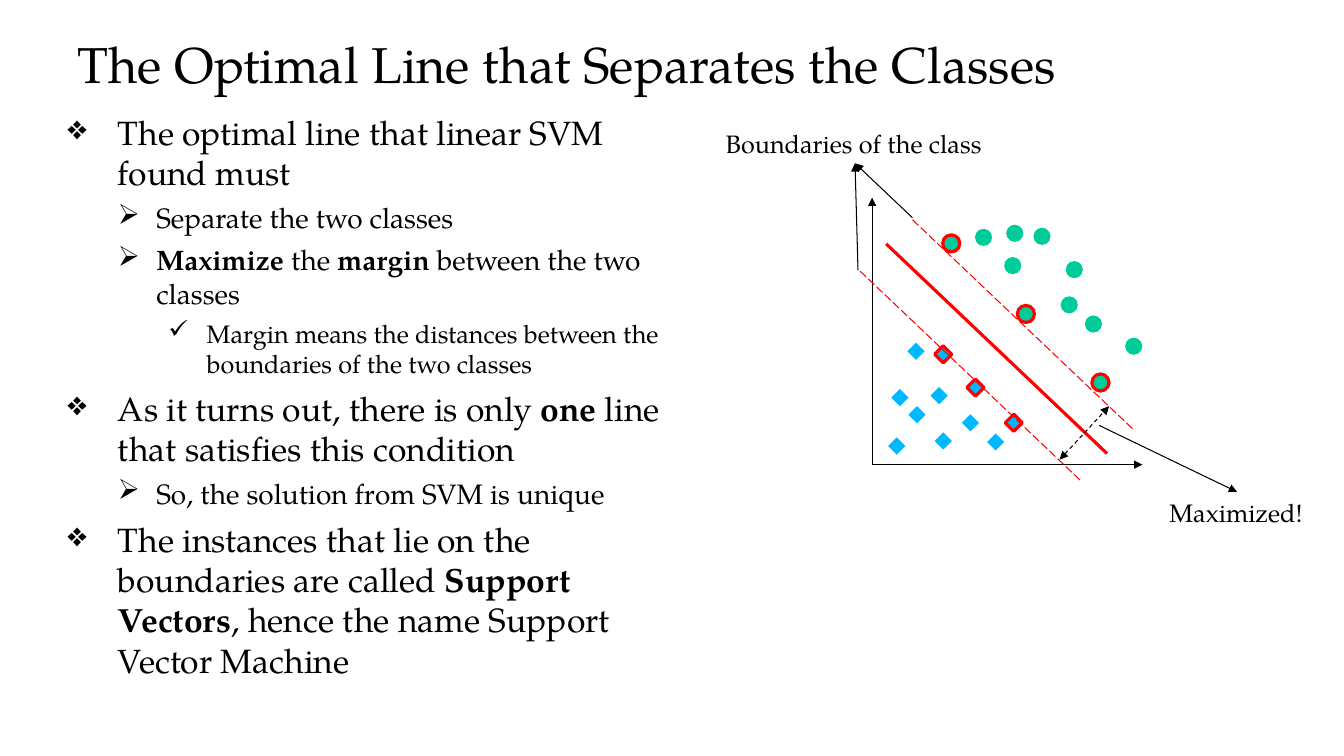
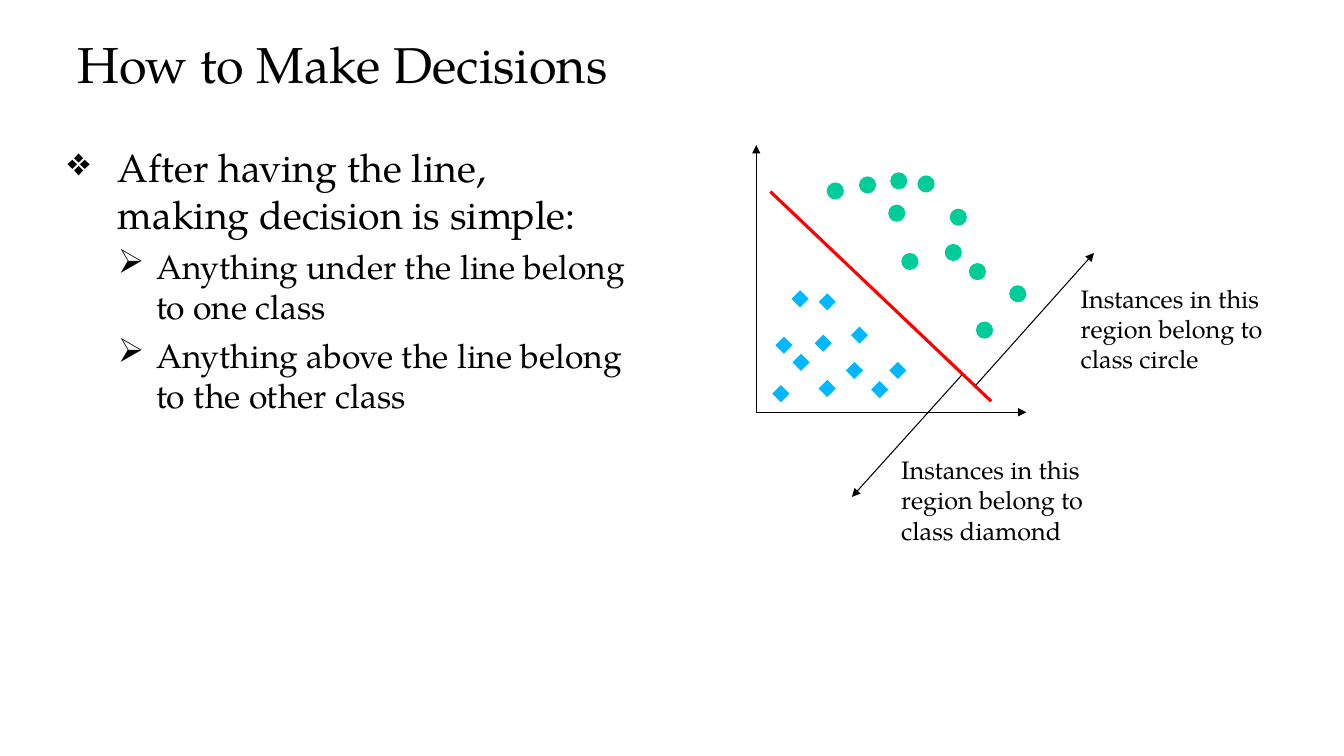
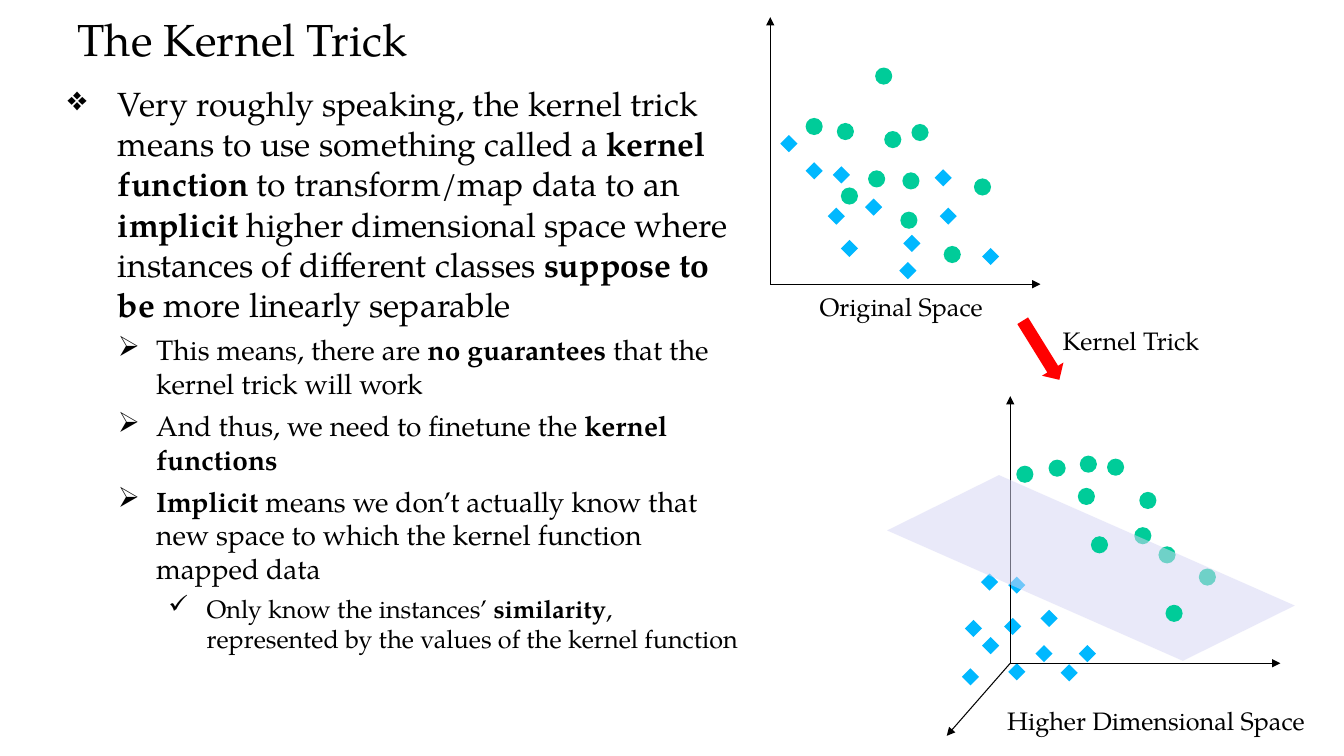
"""Build three slides on support vector machines and the kernel trick."""
from typing import NamedTuple, Optional, Sequence

from lxml.etree import SubElement
from pptx import Presentation
from pptx.dml.color import RGBColor
from pptx.enum.dml import MSO_LINE
from pptx.enum.shapes import MSO_CONNECTOR, MSO_SHAPE
from pptx.enum.text import MSO_ANCHOR
from pptx.oxml.ns import qn
from pptx.util import Inches, Pt

FONT = "TeX Gyre Pagella"
BLACK, RED, BLUE, GREEN, LILAC = "000000", "FF0000", "00B8FF", "00CC99", "D6D6F5"
DOT_SIZE = 0.17
AXIS_WIDTH, AXIS_HEIGHT = 2.68, 2.65


class Point(NamedTuple):
    x: float
    y: float

    def shift(self, x: float, y: float) -> "Point":
        return Point(self.x + x, self.y + y)


class Box(NamedTuple):
    left: float
    top: float
    width: float
    height: float

    def lengths(self) -> list:
        return [Inches(value) for value in self]


class Level(NamedTuple):
    bullet: str
    margin: float
    hanging: float


class Item(NamedTuple):
    level: int
    size: int
    text: str


class Cloud(NamedTuple):
    diamonds: Sequence[tuple]
    circles: Sequence[tuple]


LEVELS = (Level("❖", 0.5, 0.5), Level("➢", 0.88, 0.38), Level("✓", 1.38, 0.38))

SUPPORT_VECTORS = Cloud(
    [(0.94, -0.85), (1.32, -0.5), (0.62, -1.18)],
    [(1.44, -1.58), (2.18, -0.9), (0.7, -2.28)],
)
OTHER_INSTANCES = Cloud(
    [(0.19, -0.75), (0.36, -0.58), (0.58, -0.77), (0.89, -0.5), (0.35, -1.21),
     (0.16, -0.27), (0.62, -0.32), (1.14, -0.31)],
    [(1.02, -2.34), (1.31, -2.06), (1.87, -1.67), (1.92, -2.02), (1.33, -2.38),
     (2.51, -1.26), (1.6, -2.35), (2.11, -1.48)],
)
MIXED_INSTANCES = Cloud(
    [(0.1, -1.48), (2.1, -0.36), (0.57, -0.76), (0.7, -0.44), (0.94, -0.85), (0.35, -1.21),
     (1.68, -0.76), (1.63, -1.14), (1.32, -0.49), (0.62, -1.17), (1.28, -0.22)],
    [(0.66, -1.6), (0.7, -0.96), (0.97, -1.13), (1.31, -1.11), (1.13, -1.52), (1.04, -2.15),
     (1.29, -0.72), (0.35, -1.65), (1.72, -0.38), (1.4, -1.59), (2.02, -1.05)],
)

OPTIMAL_LINE = [
    Item(0, 24, "The optimal line that linear SVM found must"),
    Item(1, 20, "Separate the two classes"),
    Item(1, 20, "**Maximize** the **margin** between the two classes"),
    Item(2, 18, "Margin means the distances between the boundaries of the two classes"),
    Item(0, 24, "As it turns out, there is only **one **line that satisfies this condition"),
    Item(1, 20, "So, the solution from SVM is unique"),
    Item(0, 24, "The instances that lie on the boundaries are called **Support Vectors**, "
                "hence the name Support Vector Machine"),
]
DECISIONS = [
    Item(0, 28, "After having the line, making decision is simple:"),
    Item(1, 24, "Anything under the line belong to one class"),
    Item(1, 24, "Anything above the line belong to the other class"),
]
KERNEL_TRICK = [
    Item(0, 24, "Very roughly speaking, the kernel trick means to use something called a "
                "**kernel function** to transform/map data to an **implicit** higher dimensional "
                "space where instances of different classes **suppose to be **more linearly "
                "separable"),
    Item(1, 20, "This means, there are **no guarantees** that the kernel trick will work"),
    Item(1, 20, "And thus, we need to finetune the **kernel functions**"),
    Item(1, 20, "**Implicit** means we don’t actually know that new space to which the kernel "
                "function mapped data"),
    Item(2, 18, "Only know the instances’ **similarity**, represented by the values of the "
                "kernel function"),
]


def color(value: str) -> RGBColor:
    return RGBColor.from_string(value)


def style(para, size: int) -> None:
    para.font.name = FONT
    para.font.size = Pt(size)
    para.font.color.rgb = color(BLACK)


def add_frame(page, box: Box, insets: Sequence[float], wrap: bool = True):
    shape = page.shapes.add_textbox(*box.lengths())
    frame = shape.text_frame
    frame.word_wrap = wrap
    frame.vertical_anchor = MSO_ANCHOR.TOP
    (frame.margin_left, frame.margin_top,
     frame.margin_right, frame.margin_bottom) = [Inches(inset) for inset in insets]
    return shape


def add_label(page, box: Box, text: str, wrap: bool = False):
    shape = add_frame(page, box, (0.1, 0.05, 0.1, 0.05), wrap)
    para = shape.text_frame.paragraphs[0]
    para.text = text
    style(para, 18)
    return shape


def add_title(page, text: str, top: float = 0.22, size: int = 36) -> None:
    shape = add_frame(page, Box(0.67, top, 11.99, 1), (0.1, 0.1, 0.1, 0.05))
    para = shape.text_frame.paragraphs[0]
    para.text = text
    para.line_spacing = 1.02
    style(para, size)


def add_body(page, top: float, width: float, items: Sequence[Item]) -> None:
    frame = add_frame(page, Box(0.67, top, width, 4.94), (0, 0, 0, 0)).text_frame
    for index, item in enumerate(items):
        para = frame.add_paragraph() if index else frame.paragraphs[0]
        level = LEVELS[item.level]
        para.level = item.level
        para.space_before = Pt(6)
        properties = para._p.get_or_add_pPr()
        properties.set("marL", str(Inches(level.margin)))
        properties.set("indent", str(-Inches(level.hanging)))
        SubElement(properties, qn("a:buChar")).set("char", level.bullet)
        style(para, item.size)
        for position, text in enumerate(item.text.split("**")):
            if text:
                span = para.add_run()
                span.text = text
                span.font.bold = position % 2 == 1


def add_figure(shapes, kind: MSO_SHAPE, box: Box, fill: str, outline: Optional[str] = None):
    shape = shapes.add_shape(kind, *box.lengths())
    shape.shadow.inherit = False
    shape.fill.solid()
    shape.fill.fore_color.rgb = color(fill)
    if outline:
        shape.line.color.rgb = color(outline)
        shape.line.width = Pt(2.25)
    else:
        shape.line.fill.background()
    return shape


def add_cloud(shapes, origin: Point, cloud: Cloud, outline: Optional[str] = None) -> None:
    for kind, fill, dots in ((MSO_SHAPE.DIAMOND, BLUE, cloud.diamonds),
                             (MSO_SHAPE.OVAL, GREEN, cloud.circles)):
        for dot in dots:
            box = Box(*origin.shift(*dot), DOT_SIZE, DOT_SIZE)
            add_figure(shapes, kind, box, fill, outline)


def add_line(shapes, start: Point, end: Point, stroke: str = BLACK, width: float = 0.75,
             dash: Optional[MSO_LINE] = None, arrows: Sequence[str] = ()):
    line = shapes.add_connector(MSO_CONNECTOR.STRAIGHT, *[Inches(value) for value in start + end])
    line.line.color.rgb = color(stroke)
    line.line.width = Pt(width)
    if dash:
        line.line.dash_style = dash
    properties = line.element.spPr
    for arrow in arrows:
        SubElement(properties.find(qn("a:ln")), qn(f"a:{arrow}")).set("type", "triangle")
    SubElement(properties, qn("a:effectLst"))
    return line


def add_arrow(shapes, start: Point, end: Point):
    return add_line(shapes, start, end, arrows=["tailEnd"])


def add_axes(shapes, origin: Point) -> None:
    add_arrow(shapes, origin, origin.shift(AXIS_WIDTH, 0))
    add_arrow(shapes, origin, origin.shift(0, -AXIS_HEIGHT))


def add_separator(shapes, origin: Point, x: float = 0, y: float = 0, width: float = 2.25,
                  dash: Optional[MSO_LINE] = None) -> None:
    start = origin.shift(0.14 + x, -2.19 + y)
    add_line(shapes, start, start.shift(2.19, 2.08), RED, width, dash)


def build_optimal_line(page) -> None:
    add_title(page, "The Optimal Line that Separates the Classes")
    add_body(page, 1.11, 6.22, OPTIMAL_LINE)
    origin = Point(8.65, 4.61)
    add_cloud(page.shapes, origin, OTHER_INSTANCES)
    add_cloud(page.shapes, origin, SUPPORT_VECTORS, RED)
    add_separator(page.shapes, origin)
    add_axes(page.shapes, origin)
    for x, y in ((-0.26, 0.27), (0.26, -0.24)):
        add_separator(page.shapes, origin, x, y, 0.75, MSO_LINE.LONG_DASH)
    add_line(page.shapes, Point(10.51, 4.56), Point(11, 4.03), dash=MSO_LINE.DASH,
             arrows=["headEnd", "tailEnd"])
    maximized = add_label(page, Box(11.5, 4.88, 1.54, 0.4), "Maximized!")
    boundaries = add_label(page, Box(7.1, 1.22, 2.76, 0.4), "Boundaries of the class")
    for start, end, label, side in (
        (Point(10.9, 4.22), Point(12.27, 4.88), maximized, 0),
        (Point(9.05, 2.16), Point(8.48, 1.62), boundaries, 2),
        (Point(8.51, 2.68), Point(8.48, 1.62), boundaries, 2),
    ):
        add_arrow(page.shapes, start, end).end_connect(label, side)


def build_decisions(page) -> None:
    add_title(page, "How to Make Decisions")
    add_body(page, 1.42, 5.54, DECISIONS)
    origin = Point(7.5, 4.09)
    for cloud in (OTHER_INSTANCES, SUPPORT_VECTORS):
        add_cloud(page.shapes, origin, cloud)
    add_separator(page.shapes, origin)
    add_axes(page.shapes, origin)
    add_arrow(page.shapes, Point(9.68, 3.82), Point(10.85, 2.51))
    add_arrow(page.shapes, Point(9.54, 3.72), Point(8.45, 4.93))
    for left, top, name in ((8.84, 4.46, "diamond"), (10.62, 2.76, "circle")):
        add_label(page, Box(left, top, 2.04, 1.01),
                  f"Instances in this region belong to class {name}", wrap=True)


def build_higher_space(shapes) -> None:
    cloud_origin, axes_origin = Point(9.38, 6.9), Point(10.02, 6.58)
    behind = Cloud(SUPPORT_VECTORS.diamonds, SUPPORT_VECTORS.circles[2:])
    in_front = Cloud([], SUPPORT_VECTORS.circles[:2])
    for cloud in (OTHER_INSTANCES, behind):
        add_cloud(shapes, cloud_origin, cloud)
    add_axes(shapes, axes_origin)
    add_arrow(shapes, axes_origin, Point(9.39, 7.3))
    plane = add_figure(shapes, MSO_SHAPE.PARALLELOGRAM, Box(8.82, 5.16, 4, 0.95), LILAC)
    plane.adjustments[0] = 0.836
    plane.rotation = 23.8
    tint = plane.element.spPr.find(qn("a:solidFill")).find(qn("a:srgbClr"))
    SubElement(tint, qn("a:alpha")).set("val", "52000")
    add_cloud(shapes, cloud_origin, in_front)


def build_kernel_trick(page) -> None:
    add_title(page, "The Kernel Trick", 0.01, 32)
    add_body(page, 0.82, 6.77, KERNEL_TRICK)
    origin = Point(7.64, 2.82)
    add_cloud(page.shapes, origin, MIXED_INSTANCES)
    add_axes(page.shapes, origin)
    build_higher_space(page.shapes.add_group_shape().shapes)
    arrow = add_figure(page.shapes, MSO_SHAPE.DOWN_ARROW, Box(10.2, 3.13, 0.25, 0.69), RED)
    arrow.rotation = 328.2
    for box, text in (
        (Box(10.44, 3.18, 1.57, 0.4), "Kernel Trick"),
        (Box(8.03, 2.84, 1.84, 0.4), "Original Space"),
        (Box(9.89, 6.95, 3.19, 0.4), "Higher Dimensional Space"),
    ):
        add_label(page, box, text)


def main() -> None:
    deck = Presentation()
    deck.slide_width, deck.slide_height = Inches(13.33), Inches(7.5)
    for build in (build_optimal_line, build_decisions, build_kernel_trick):
        build(deck.slides.add_slide(deck.slide_layouts[6]))
    deck.save("out.pptx")


if __name__ == "__main__":
    main()
